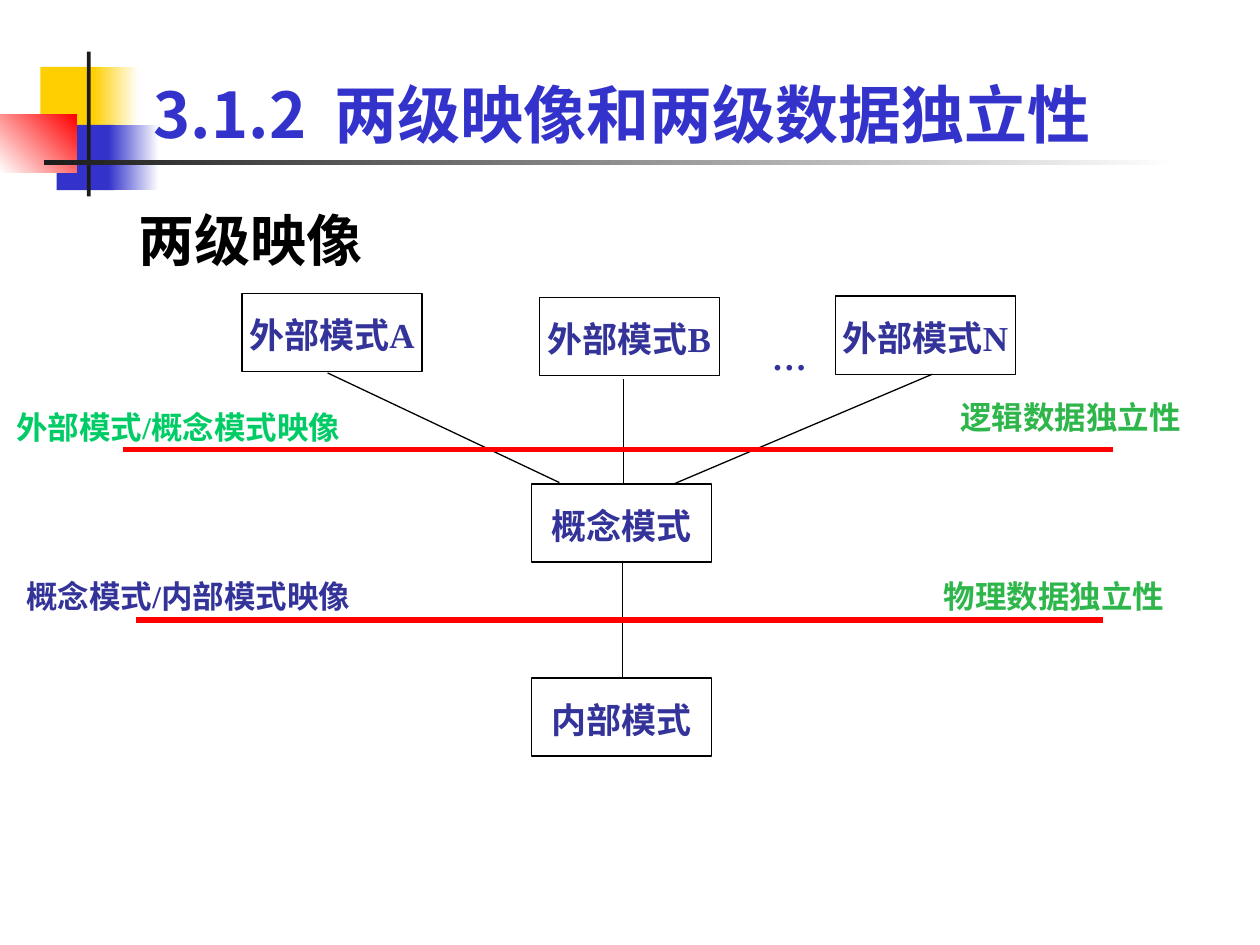
from dataclasses import dataclass

from lxml.etree import SubElement
from pptx import Presentation
from pptx.dml.color import RGBColor
from pptx.enum.shapes import MSO_CONNECTOR as CONNECTOR, MSO_SHAPE as SHAPE
from pptx.enum.text import MSO_ANCHOR as ANCHOR, MSO_AUTO_SIZE as AUTO_SIZE, PP_ALIGN as ALIGN
from pptx.oxml.ns import qn
from pptx.util import Inches, Pt


@dataclass(frozen=True)
class Theme:
    """Colours, fonts and type sizes of the slide."""
    white: str = "FFFFFF"
    black: str = "000000"
    yellow: str = "FFCF01"
    blue: str = "3333CC"
    red: str = "FF0000"
    charcoal: str = "1C1C1C"
    navy: str = "333399"
    green: str = "2EB64B"
    mint: str = "00CC66"
    serif: str = "Times New Roman"
    sans: str = "Roboto"
    asian: str = "Noto Sans CJK JP"
    title_size: int = 36
    heading_size: int = 32
    box_size: int = 20
    label_size: int = 18


THEME = Theme()


def rgb(value):
    """Return the colour for a hex string."""
    return RGBColor.from_string(value)


def place(shape, left, top, width, height):
    """Move and size a shape in inches."""
    shape.left, shape.top = Inches(left), Inches(top)
    shape.width, shape.height = Inches(width), Inches(height)


def write(shape, text, size, color, font):
    """Put one bold line of text into a shape."""
    frame = shape.text_frame
    frame.text = text
    frame.auto_size = AUTO_SIZE.NONE
    run = frame.paragraphs[0].runs[0]
    run.font.size, run.font.bold, run.font.name = Pt(size), True, font
    run.font.color.rgb = rgb(color)
    SubElement(run.font._element, qn("a:ea")).set("typeface", THEME.asian)
    return frame


def write_centered(shape, text, size, color, bottom=0):
    """Write diagram text centred below a top inset."""
    frame = write(shape, text, size, color, THEME.serif)
    frame.word_wrap = True
    frame.vertical_anchor = ANCHOR.TOP
    frame.margin_left = frame.margin_right = 0
    frame.margin_top, frame.margin_bottom = Inches(0.16), Inches(bottom)
    frame.paragraphs[0].alignment = ALIGN.CENTER


def add_rectangle(slide, bounds, fill):
    """Add a borderless solid rectangle."""
    shape = slide.shapes.add_shape(SHAPE.RECTANGLE, *map(Inches, bounds))
    shape.shadow.inherit = False
    shape.line.fill.background()
    shape.fill.solid()
    shape.fill.fore_color.rgb = rgb(fill)
    return shape


def add_fade(slide, bounds, start, end, angle=0):
    """Add a rectangle that fades between two colours."""
    fill = add_rectangle(slide, bounds, start).fill
    fill.gradient()
    fill.gradient_angle = angle
    for stop, color in zip(fill.gradient_stops, (start, end)):
        stop.color.rgb = rgb(color)


def add_schema(slide, text, left, top):
    """Add an outlined schema box."""
    shape = add_rectangle(slide, (left, top, 1.43, 0.62), THEME.white)
    shape.line.color.rgb = rgb(THEME.black)
    shape.line.width = Pt(0.75)
    write_centered(shape, text, THEME.box_size, THEME.navy, 0.05)


def add_label(slide, text, bounds, color, size=THEME.label_size):
    """Add a free-standing diagram label."""
    shape = slide.shapes.add_textbox(*map(Inches, bounds))
    write_centered(shape, text, size, color)


def add_line(slide, start, end, color=THEME.black, width=0.75):
    """Add a straight line between two points."""
    line = slide.shapes.add_connector(CONNECTOR.STRAIGHT, *map(Inches, start + end))
    line.line.color.rgb = rgb(color)
    line.line.width = Pt(width)
    SubElement(line._element.spPr, qn("a:effectLst"))


def add_decoration(slide):
    """Draw the colour blocks and rules beside the title."""
    add_rectangle(slide, (0.32, 0.53, 0.48, 0.52), THEME.yellow)
    add_fade(slide, (0.74, 0.53, 0.36, 0.52), THEME.yellow, THEME.white)
    add_rectangle(slide, (0.45, 0.99, 0.46, 0.52), THEME.blue)
    add_fade(slide, (0.86, 0.99, 0.4, 0.52), THEME.blue, THEME.white)
    add_fade(slide, (0, 0.91, 0.61, 0.46), THEME.white, THEME.red, 45)
    add_rectangle(slide, (0.69, 0.41, 0.03, 1.15), THEME.charcoal)
    add_fade(slide, (0.35, 1.27, 9, 0.04), THEME.charcoal, THEME.white)


def fill_placeholders(slide):
    """Write the title and heading in front of the decoration."""
    title, body = slide.placeholders
    for placeholder in (title, body):
        slide.shapes._spTree.append(placeholder._element)
    place(title, 1.12, 0, 8.52, 1.25)
    frame = write(title, "3.1.2  两级映像和两级数据独立性", THEME.title_size, THEME.blue, THEME.asian)
    frame.vertical_anchor = ANCHOR.BOTTOM
    frame.paragraphs[0].alignment = ALIGN.LEFT
    place(body, 1, 1.58, 8.5, 5.25)
    paragraph = write(body, "两级映像", THEME.heading_size, THEME.black, THEME.sans).paragraphs[0]
    paragraph.space_before = Pt(0)
    properties = paragraph._p.get_or_add_pPr()
    properties.set("marL", "0")
    properties.set("indent", "0")
    SubElement(properties, qn("a:buNone"))


def add_diagram(slide):
    """Draw the schemas, their links and the two mapping levels."""
    add_label(slide, "…", (6.02, 2.5, 0.49, 0.38), THEME.navy, THEME.box_size)
    for text, left, top in (
        ("外部模式A", 1.92, 2.33),
        ("外部模式B", 4.28, 2.36),
        ("外部模式N", 6.63, 2.35),
        ("概念模式", 4.22, 3.84),
        ("内部模式", 4.22, 5.38),
    ):
        add_schema(slide, text, left, top)
    for start, end in (
        ((2.6, 2.96), (4.44, 3.83)),
        ((4.95, 3.01), (4.95, 3.83)),
        ((5.35, 3.84), (7.4, 2.97)),
        ((4.94, 4.45), (4.94, 5.38)),
    ):
        add_line(slide, start, end)
    for left, right, level in ((0.98, 8.83, 3.57), (1.08, 8.75, 4.92)):
        add_line(slide, (left, level), (right, level), THEME.red, 3)
    for text, bounds, color in (
        ("逻辑数据独立性", (7.5, 3, 1.99, 0.5), THEME.green),
        ("物理数据独立性", (7.33, 4.42, 2.07, 0.42), THEME.green),
        ("外部模式/概念模式映像", (0, 3.08, 2.83, 0.42), THEME.mint),
        ("概念模式/内部模式映像", (0.08, 4.42, 2.83, 0.42), THEME.navy),
    ):
        add_label(slide, text, bounds, color)


def main():
    """Build and save the slide."""
    presentation = Presentation()
    presentation.slide_width, presentation.slide_height = Inches(10), Inches(7.5)
    slide = presentation.slides.add_slide(presentation.slide_layouts[1])
    add_decoration(slide)
    fill_placeholders(slide)
    add_diagram(slide)
    presentation.save("out.pptx")


if __name__ == "__main__":
    main()
